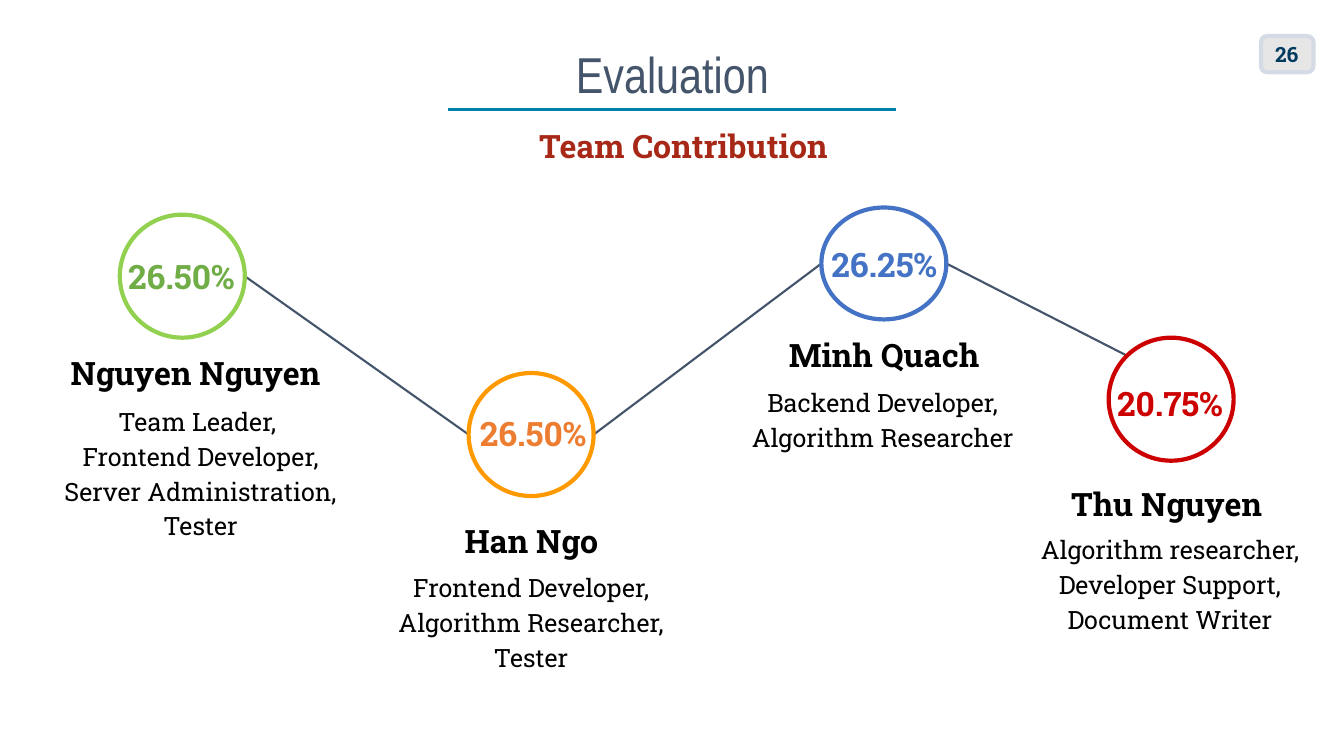
from math import sqrt

from lxml.etree import SubElement
from pptx import Presentation
from pptx.dml.color import RGBColor
from pptx.enum.shapes import MSO_CONNECTOR as Link, MSO_SHAPE as Shape
from pptx.enum.text import MSO_ANCHOR as Anchor, PP_ALIGN as Align
from pptx.oxml.ns import qn
from pptx.util import Cm, Pt

COLOURS = {
    "white": "FFFFFF", "black": "000000", "slate": "44546A", "teal": "0081AB",
    "badge": "E7E6E6", "badge_edge": "D5DBE5", "navy": "003A5F", "brick": "A72817",
    "lime": "92D050", "green": "70AD47", "amber": "FF9900", "orange": "ED7D31",
    "blue": "4472C4", "red": "CC0000",
}
SLAB = "Roboto Slab"
CIRCLE_WIDTH = 3.15
ROLE_WIDTH = 8.33

MEMBERS = [
    {"name": "Nguyen Nguyen", "share": "26.50%", "ring": "lime", "ink": "green",
     "circle": (3.02, 5.41, 3.1), "share_at": (2.54, 6.2, 4.06),
     "name_at": (1.12, 8.51, 7.62), "roles_at": (0.89, 9.88, 3.94),
     "roles": ["Team Leader, ", "Frontend Developer, Server Administration,", "Tester"]},
    {"name": "Han Ngo", "share": "26.50%", "ring": "amber", "ink": "orange",
     "circle": (11.81, 9.4, 3.1), "share_at": (11.81, 10.16, 3.25),
     "name_at": (10.03, 12.73, 6.73), "roles_at": (9.22, 14.07, 3.05),
     "roles": ["Frontend Developer, Algorithm Researcher,", "Tester"]},
    {"name": "Minh Quach", "share": "26.25%", "ring": "blue", "ink": "blue",
     "circle": (20.7, 5.23, 2.82), "share_at": (20.47, 5.89, 3.63),
     "name_at": (18.92, 8.05, 6.73), "roles_at": (18.08, 9.4, 2.16),
     "roles": ["Backend Developer, Algorithm Researcher"]},
    {"name": "Thu Nguyen ", "share": "20.75%", "ring": "red", "ink": "red",
     "circle": (27.94, 8.51, 3.1), "share_at": (27.76, 9.4, 3.45),
     "name_at": (26.47, 11.81, 6.07), "roles_at": (25.32, 13.11, 3.05),
     "roles": ["Algorithm researcher, Developer Support,", "Document Writer"]},
]


def colour(key):
    return RGBColor.from_string(COLOURS[key])


def add_text(shapes, at, lines, size, ink, bold=False, font=SLAB, align=Align.CENTER,
             anchor=Anchor.TOP, spacing=1.0, inset=(0.25, 0.25)):
    box = shapes.add_textbox(*map(Cm, at))
    frame = box.text_frame
    frame.word_wrap = True
    frame.vertical_anchor = anchor
    frame.margin_left = frame.margin_right = Cm(inset[0])
    frame.margin_top = frame.margin_bottom = Cm(inset[1])
    for index, line in enumerate(lines):
        para = frame.add_paragraph() if index else frame.paragraphs[0]
        para.alignment = align
        para.line_spacing = spacing
        span = para.add_run()
        span.text = line
        span.font.name = font
        span.font.size = Pt(size)
        span.font.bold = bold
        span.font.color.rgb = colour(ink)


def add_outlined(shapes, kind, at, fill, edge):
    shape = shapes.add_shape(kind, *map(Cm, at))
    shape.shadow.inherit = False
    shape.fill.solid()
    shape.fill.fore_color.rgb = colour(fill)
    shape.line.color.rgb = colour(edge)
    shape.line.width = Pt(3)


def add_line(shapes, start, end, ink, width):
    line = shapes.add_connector(Link.STRAIGHT, *map(Cm, start + end))
    line.line.color.rgb = colour(ink)
    line.line.width = Pt(width)
    SubElement(line._element.spPr, qn("a:effectLst"))


def circle_point(member, across, down):
    left, top, height = member["circle"]
    return left + CIRCLE_WIDTH * (1 + across) / 2, top + height * (1 + down) / 2


def add_member(shapes, member):
    left, top, height = member["circle"]
    group = shapes.add_group_shape().shapes
    add_outlined(group, Shape.OVAL, (left, top, CIRCLE_WIDTH, height), "white", member["ring"])
    left, top, width = member["share_at"]
    add_text(group, (left, top, width, 1.55), [member["share"]], 24, member["ink"],
             bold=True, inset=(0, 0.25))
    left, top, width = member["name_at"]
    add_text(shapes, (left, top, width, 1.5), [member["name"]], 23, "black",
             bold=True, spacing=1.15)
    left, top, height = member["roles_at"]
    add_text(shapes, (left, top, ROLE_WIDTH, height), member["roles"], 18, "black", spacing=1.15)


def main():
    deck = Presentation()
    deck.slide_width, deck.slide_height = Cm(33.87), Cm(19.05)
    page = deck.slides.add_slide(deck.slide_layouts[6])
    shapes = page.shapes

    add_text(shapes, (2.34, 0.84, 29.21, 1.93), ["Evaluation"], 36, "slate",
             font="Arial Narrow", anchor=Anchor.BOTTOM, spacing=0.9, inset=(0.25, 0.13))
    add_line(shapes, (11.3, 2.77), (22.58, 2.77), "teal", 2.25)
    add_outlined(shapes, Shape.ROUNDED_RECTANGLE, (31.78, 0.91, 1.32, 0.91),
                 "badge", "badge_edge")
    add_text(shapes, (31.47, 0.86, 1.5, 1.02), ["26"], 15, "navy", bold=True,
             align=Align.RIGHT, anchor=Anchor.MIDDLE, inset=(0.25, 0.13))
    add_text(shapes, (13.34, 3.05, 8.86, 1.24), ["Team Contribution"], 23, "brick",
             bold=True, align=Align.LEFT, inset=(0.25, 0.13))

    diagonal = -1 / sqrt(2)
    arrivals = [(-1, 0), (-1, 0), (diagonal, diagonal)]
    for member, following, arrival in zip(MEMBERS, MEMBERS[1:], arrivals):
        add_line(shapes, circle_point(member, 1, 0), circle_point(following, *arrival),
                 "slate", 1.5)
    for member in MEMBERS:
        add_member(shapes, member)

    deck.save("out.pptx")


if __name__ == "__main__":
    main()
